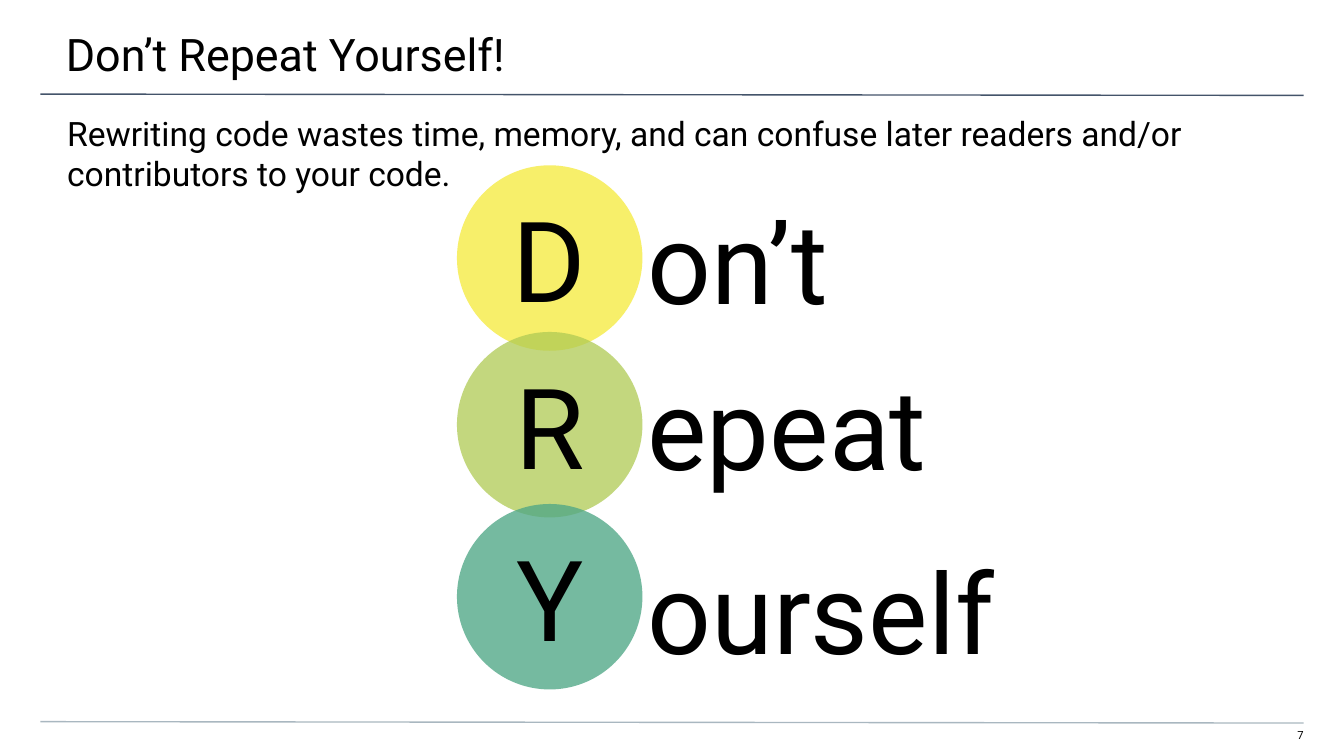
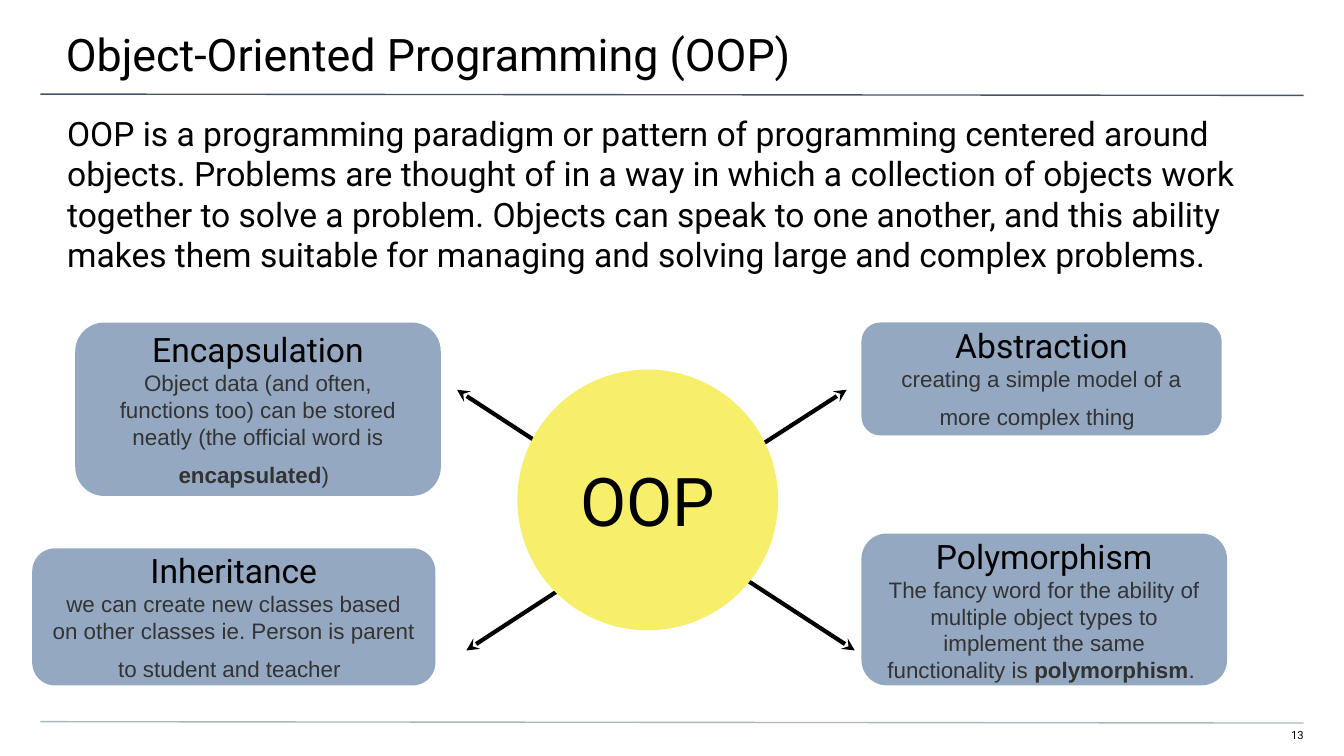
"""Build two lecture slides: the DRY principle and the four ideas of OOP."""
from dataclasses import dataclass

from lxml import etree
from pptx import Presentation
from pptx import util as u
from pptx.dml.color import RGBColor
from pptx.enum import shapes, text
from pptx.oxml import ns


@dataclass(frozen=True)
class Theme:
    heading_font: str = "Roboto"
    detail_font: str = "Arial"
    ink: str = "000000"
    detail: str = "333333"
    top_rule: str = "44546A"
    bottom_rule: str = "A9B7C0"
    yellow: str = "F7EF6A"
    green: str = "AFCA54"
    teal: str = "4FA786"
    card: str = "365C8B"
    number_size: float = 6
    detail_size: float = 12
    body_size: float = 18
    title_size: float = 24
    hub_size: float = 36
    letter_size: float = 60


THEME = Theme()
PADDING = (0.1, 0.1, 0.1, 0.1)

DRY = {
    "title": "Don’t Repeat Yourself!",
    "number": "7",
    "body": "Rewriting code wastes time, memory, and can confuse later readers and/or "
            "contributors to your code.",
}
DRY_WORDS = [
    ("D", "on’t", THEME.yellow, 100, 1.23, 1.33),
    ("R", "epeat", THEME.green, 75, 2.47, 2.57),
    ("Y", "ourself", THEME.teal, 78, 3.75, 3.94),
]

OOP = {
    "title": "Object-Oriented Programming (OOP)",
    "number": "13",
    "body": "OOP is a programming paradigm or pattern of programming centered around objects. "
            "Problems are thought of in a way in which a collection of objects work together "
            "to solve a problem. Objects can speak to one another, and this ability makes them "
            "suitable for managing and solving large and complex problems.",
}
OOP_IDEAS = [
    ("Encapsulation", (0.56, 2.4, 2.72, 1.29),
     [("Object data (and often, functions too) can be stored neatly "
       "(the official word is ", "detail"),
      ("encapsulated", "strong"), (")", "detail"), (" ", "body")]),
    ("Inheritance", (0.24, 4.08, 3, 1.02),
     [("we can create new classes based on other classes ie. Person is parent "
       "to student and teacher", "detail"), (" ", "body")]),
    ("Abstraction", (6.41, 2.4, 2.68, 0.84),
     [("creating a simple model of a more complex thing", "detail"), (" ", "body")]),
    ("Polymorphism", (6.41, 3.97, 2.72, 1.13),
     [("The fancy word for the ability of multiple object types to implement the same "
       "functionality is ", "detail"),
      ("polymorphism", "strong"), (". ", "detail")]),
]
OOP_ARROWS = [
    ((4.29, 3.48), (3.4, 2.9)),
    ((5.4, 3.48), (6.3, 2.9)),
    ((4.36, 4.26), (3.47, 4.84)),
    ((5.47, 4.26), (6.36, 4.84)),
]

STYLES = {
    "number": (THEME.heading_font, THEME.number_size, THEME.ink, False),
    "title": (THEME.heading_font, THEME.title_size, THEME.ink, False),
    "body": (THEME.heading_font, THEME.body_size, THEME.ink, False),
    "hub": (THEME.heading_font, THEME.hub_size, THEME.ink, False),
    "letter": (THEME.heading_font, THEME.letter_size, THEME.ink, False),
    "detail": (THEME.detail_font, THEME.detail_size, THEME.detail, False),
    "strong": (THEME.detail_font, THEME.detail_size, THEME.detail, True),
}


def write(box, paragraphs, insets=PADDING, align=text.PP_ALIGN.LEFT,
          anchor=text.MSO_ANCHOR.TOP):
    """Fill a box with paragraphs, each a list of (words, style name)."""
    frame = box.text_frame
    frame.word_wrap = True
    frame.auto_size = text.MSO_AUTO_SIZE.NONE
    frame.vertical_anchor = anchor
    (frame.margin_left, frame.margin_top,
     frame.margin_right, frame.margin_bottom) = map(u.Inches, insets)
    for index, spans in enumerate(paragraphs):
        para = frame.add_paragraph() if index else frame.paragraphs[0]
        para.alignment = align
        for words, style in spans:
            span = para.add_run()
            span.text = words
            name, size, color, bold = STYLES[style]
            span.font.name = name
            span.font.size = u.Pt(size)
            span.font.bold = bold
            span.font.color.rgb = RGBColor.from_string(color)


def add_text(page, area, words, style, **layout):
    """Add a text box with one styled paragraph."""
    box = page.shapes.add_textbox(*map(u.Inches, area))
    write(box, [[(words, style)]], **layout)


def add_figure(page, kind, area, color, opacity, paragraphs):
    """Add a borderless filled shape with centred text."""
    figure = page.shapes.add_shape(kind, *map(u.Inches, area))
    figure.shadow.inherit = False
    figure.line.fill.background()
    figure.fill.solid()
    figure.fill.fore_color.rgb = RGBColor.from_string(color)
    if opacity < 100:
        swatch = figure.fill._xPr.find(".//" + ns.qn("a:srgbClr"))
        etree.SubElement(swatch, ns.qn("a:alpha"), val=str(opacity * 1000))
    write(figure, paragraphs, align=text.PP_ALIGN.CENTER, anchor=text.MSO_ANCHOR.MIDDLE)


def add_line(page, start, end, color, width, arrow=False):
    """Add a straight line, with a stealth head at its end if asked."""
    line = page.shapes.add_connector(
        shapes.MSO_CONNECTOR.STRAIGHT, *map(u.Inches, start + end))
    line.line.color.rgb = RGBColor.from_string(color)
    line.line.width = u.Pt(width)
    if arrow:
        etree.SubElement(line.line._get_or_add_ln(), ns.qn("a:tailEnd"), type="stealth")
    etree.SubElement(line._element.spPr, ns.qn("a:effectLst"))


def add_page(deck, content):
    """Add a slide with the shared rules, number, title and body."""
    page = deck.slides.add_slide(deck.slide_layouts[6])
    add_text(page, (9.41, 5.42, 0.29, 0.12), content["number"], "number",
             insets=(0, 0, 0, 0.1), align=text.PP_ALIGN.RIGHT)
    for top, color in ((0.7, THEME.top_rule), (5.37, THEME.bottom_rule)):
        add_line(page, (0.3, top), (9.7, top + 0.01), color, 0.75)
    add_text(page, (-0.01, 0, 10.03, 0.58), content["title"], "title",
             insets=(0.5, 0.2, 0.3, 0.1))
    add_text(page, (0, 0.74, 10, 0.4), content["body"], "body", insets=(0.5, 0.1, 0.5, 0))
    return page


def build_dry(deck):
    """Spell out DRY with a circle for each initial."""
    page = add_page(deck, DRY)
    for initial, rest, color, opacity, circle_top, word_top in DRY_WORDS:
        add_figure(page, shapes.MSO_SHAPE.OVAL, (3.4, circle_top, 1.38, 1.38),
                   color, opacity, [[(initial, "letter")]])
        add_text(page, (4.72, word_top, 3.13, 0.69), rest, "letter")


def build_oop(deck):
    """Place the OOP hub with arrows to its four ideas."""
    page = add_page(deck, OOP)
    for name, area, spans in OOP_IDEAS:
        add_figure(page, shapes.MSO_SHAPE.ROUNDED_RECTANGLE, area, THEME.card, 53,
                   [[(name, "body")], spans])
    for start, end in OOP_ARROWS:
        add_line(page, start, end, THEME.ink, 2.25, arrow=True)
    add_figure(page, shapes.MSO_SHAPE.OVAL, (3.85, 2.75, 1.94, 1.94),
               THEME.yellow, 100, [[("OOP", "hub")]])


def main():
    """Build and save the deck."""
    deck = Presentation()
    deck.slide_width = u.Inches(10)
    deck.slide_height = deck.slide_width * 9 // 16
    build_dry(deck)
    build_oop(deck)
    deck.save("out.pptx")


if __name__ == "__main__":
    main()
